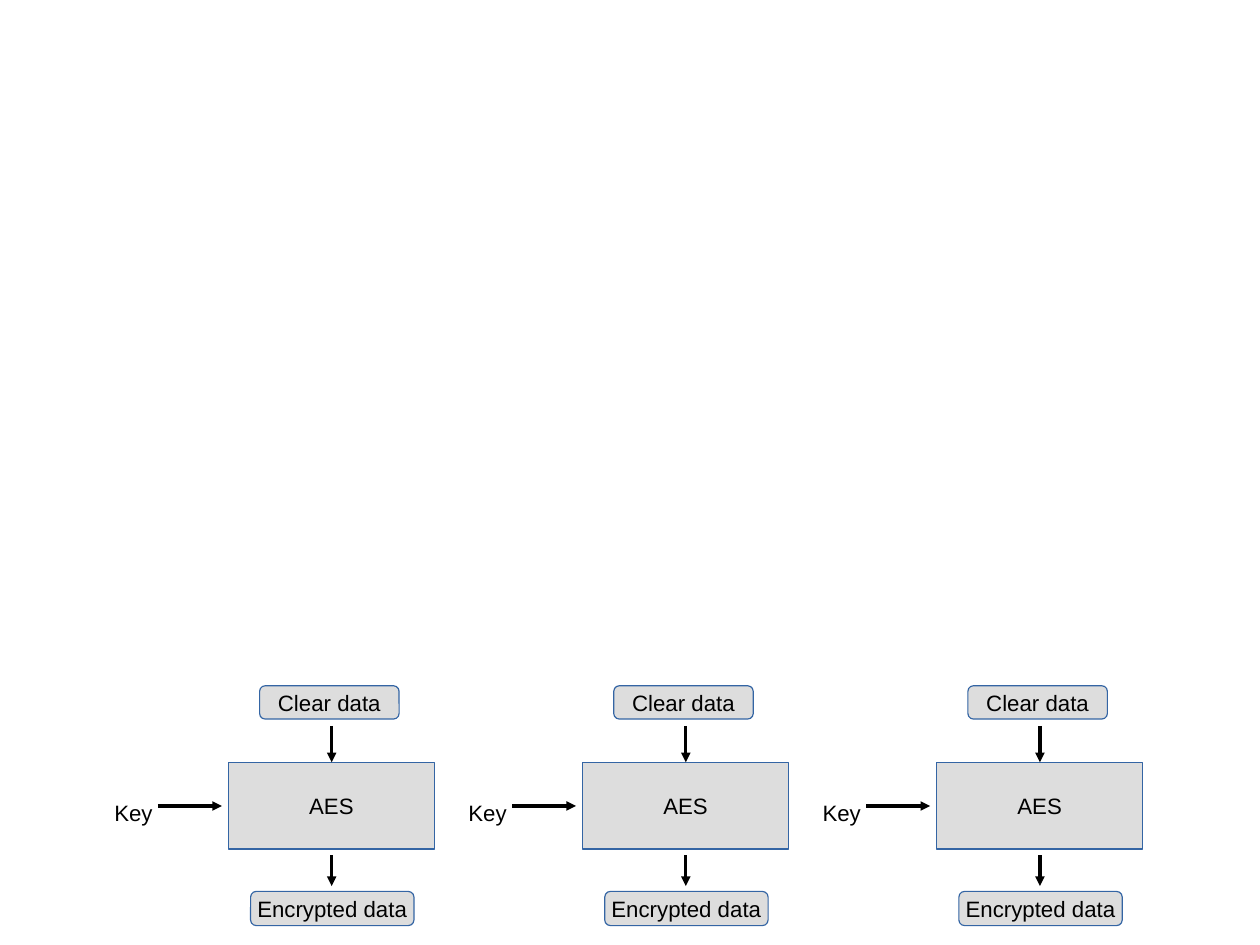
from lxml import etree
from pptx import Presentation
from pptx.dml.color import RGBColor
from pptx.enum.shapes import MSO_CONNECTOR, MSO_SHAPE
from pptx.enum.text import MSO_ANCHOR, MSO_AUTO_SIZE, PP_ALIGN
from pptx.oxml.ns import qn
from pptx.util import Cm, Pt

GREY = RGBColor(0xDD, 0xDD, 0xDD)
BLUE = RGBColor(0x34, 0x65, 0xA4)
BLACK = RGBColor(0x00, 0x00, 0x00)
RECTANGLE = MSO_SHAPE.RECTANGLE
ROUNDED = MSO_SHAPE.ROUNDED_RECTANGLE
STRAIGHT = MSO_CONNECTOR.STRAIGHT
MIDDLE = MSO_ANCHOR.MIDDLE
CENTER = PP_ALIGN.CENTER
LEFT = PP_ALIGN.LEFT
GROW = MSO_AUTO_SIZE.SHAPE_TO_FIT_TEXT

BLOCK_COUNT = 3
FIRST_LEFT, BLOCK_TOP, BLOCK_PITCH = Cm(2.29), Cm(15.24), Cm(7.87)


def write_label(frame, label, alignment):
    """Set the text of a frame in the diagram's type style."""
    frame.text = label
    paragraph = frame.paragraphs[0]
    paragraph.alignment = alignment
    font = paragraph.runs[0].font
    font.name, font.size = "Arial", Pt(14)
    font.color.rgb = BLACK


def add_node(shapes, outline, label, left, top, width, height):
    """Add a grey node with a centred label."""
    node = shapes.add_shape(outline, left, top, width, height)
    node.shadow.inherit = False
    node.fill.solid()
    node.fill.fore_color.rgb = GREY
    node.line.color.rgb = BLUE
    node.line.width = 0
    node.text_frame.word_wrap = False
    node.text_frame.vertical_anchor = MIDDLE
    write_label(node.text_frame, label, CENTER)


def add_arrow(shapes, start_x, start_y, end_x, end_y):
    """Add a hairline arrow with a triangular head at its end."""
    arrow = shapes.add_connector(STRAIGHT, start_x, start_y, end_x, end_y)
    arrow.line.color.rgb = BLACK
    arrow.line.width = 0
    etree.SubElement(arrow.line._get_or_add_ln(), qn("a:tailEnd"), type="triangle")
    etree.SubElement(arrow._element.spPr, qn("a:effectLst"))


def add_cipher_block(slide, left, top):
    """Draw one AES block with its key, its input and its output."""
    shapes = slide.shapes.add_group_shape().shapes
    axis = left + Cm(5.08)
    key_level = top + Cm(2.67)

    add_node(shapes, RECTANGLE, "AES", left + Cm(2.79), top + Cm(1.7), Cm(4.57), Cm(1.93))
    add_node(shapes, ROUNDED, "Encrypted data", left + Cm(3.28), top + Cm(4.57), Cm(3.63), Cm(0.76))
    add_node(shapes, ROUNDED, "Clear data", left + Cm(3.48), top, Cm(3.1), Cm(0.74))

    key = shapes.add_textbox(left, top + Cm(2.39), Cm(1.75), Cm(0.81))
    key.text_frame.word_wrap = True
    key.text_frame.auto_size = GROW
    write_label(key.text_frame, "Key", LEFT)

    add_arrow(shapes, axis, top + Cm(0.89), axis, top + Cm(1.7))
    add_arrow(shapes, axis, top + Cm(3.76), axis, top + Cm(4.45))
    add_arrow(shapes, left + Cm(1.22), key_level, left + Cm(2.64), key_level)


def main():
    """Build the slide with its row of cipher blocks."""
    presentation = Presentation()
    presentation.slide_width, presentation.slide_height = Cm(28), Cm(21)
    slide = presentation.slides.add_slide(presentation.slide_layouts[6])
    for index in range(BLOCK_COUNT):
        add_cipher_block(slide, FIRST_LEFT + index * BLOCK_PITCH, BLOCK_TOP)
    presentation.save("out.pptx")


if __name__ == "__main__":
    main()
